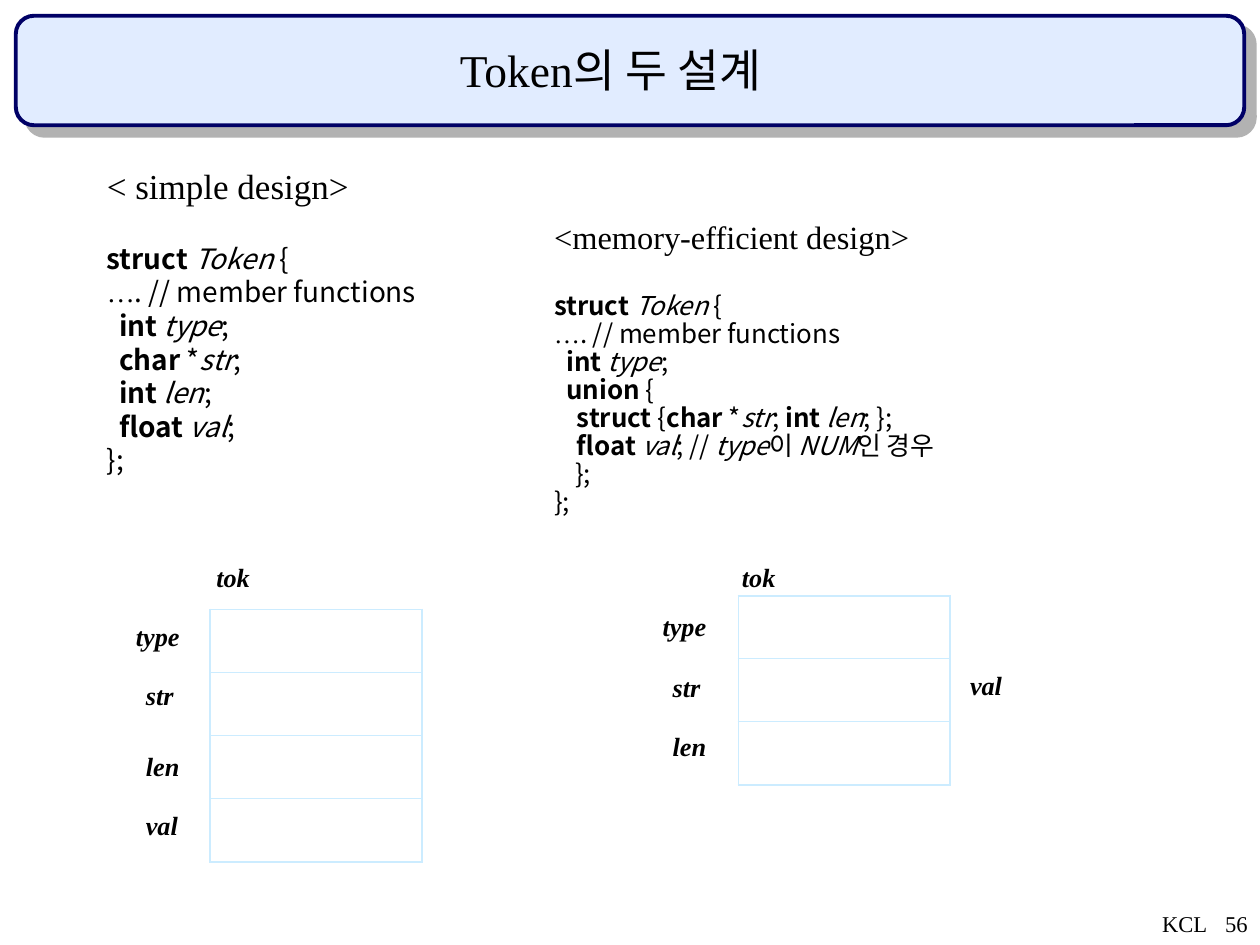
from dataclasses import dataclass
from typing import NamedTuple

from lxml import etree
from pptx import Presentation
from pptx import util as u
from pptx.dml.color import RGBColor
from pptx.enum import shapes, text
from pptx.oxml import ns

Pt = u.Pt
BLACK = RGBColor(0x00, 0x00, 0x00)
NAVY = RGBColor(0x00, 0x00, 0x66)
PALE_BLUE = RGBColor(0xE1, 0xEC, 0xFF)
SHADOW_GREY = RGBColor(0xB2, 0xB2, 0xB2)
GRID_BLUE = RGBColor(0xCC, 0xEC, 0xFF)
SERIF, SANS = "Times New Roman", "Noto Sans CJK KR"
LEFT, CENTER, RIGHT = text.PP_ALIGN.LEFT, text.PP_ALIGN.CENTER, text.PP_ALIGN.RIGHT
TOP, MIDDLE, BOTTOM = text.MSO_ANCHOR.TOP, text.MSO_ANCHOR.MIDDLE, text.MSO_ANCHOR.BOTTOM


class Run(NamedTuple):
    text: str
    bold: bool = False
    italic: bool = False
    font: str = SANS


class Box(NamedTuple):
    x: float
    y: float
    w: float
    h: float


@dataclass
class Line:
    runs: list[Run]
    indent: float = 0


@dataclass
class Listing:
    box: Box
    heading: str
    heading_size: float
    size: float
    pitch: float
    gap: float
    lines: list[Line]


@dataclass
class Grid:
    box: Box
    rows: int


@dataclass
class Label:
    text: str
    x: float
    y: float
    w: float


def bold(t: str) -> Run:
    return Run(t, bold=True)


def ital(t: str) -> Run:
    return Run(t, italic=True)


def add_run(p, run: Run, size: float) -> None:
    r = p.add_run()
    r.text = run.text
    r.font.color.rgb = BLACK
    fmt = {"name": run.font, "size": Pt(size), "bold": run.bold, "italic": run.italic}
    for key, value in fmt.items():
        setattr(r.font, key, value)


def add_box(s, box: Box, anchor, wrap: bool = True):
    tf = s.shapes.add_textbox(*map(Pt, box)).text_frame
    for key, value in {"word_wrap": wrap, "vertical_anchor": anchor}.items():
        setattr(tf, key, value)
    return tf


def add_text(s, box: Box, run: Run, size: float, anchor=TOP, align=LEFT, wrap=True) -> None:
    p = add_box(s, box, anchor, wrap).paragraphs[0]
    p.alignment = align
    add_run(p, run, size)


def add_banner(s, box: Box) -> None:
    sp = s.shapes.add_shape(shapes.MSO_SHAPE.ROUNDED_RECTANGLE, *map(Pt, box))
    sp.shadow.inherit = False
    sp.fill.solid()
    sp.fill.fore_color.rgb = PALE_BLUE
    sp.line.color.rgb = NAVY
    sp.line.width = Pt(2.25)
    effects = sp.element.spPr.find(ns.qn("a:effectLst"))
    shadow = etree.SubElement(effects, ns.qn("a:outerShdw"), dist=str(Pt(8.5)),
                              dir="2700000", algn="ctr", rotWithShape="0")
    etree.SubElement(shadow, ns.qn("a:srgbClr"), val=str(SHADOW_GREY))


def add_listing(s, item: Listing) -> None:
    tf = add_box(s, item.box, BOTTOM)
    p = tf.paragraphs[0]
    p.space_after = Pt(item.gap)
    add_run(p, Run(item.heading, font=SERIF), item.heading_size)
    for line in item.lines:
        p = tf.add_paragraph()
        p.line_spacing = Pt(item.pitch)
        p._p.get_or_add_pPr().set("marL", str(Pt(line.indent)))
        for run in line.runs:
            add_run(p, run, item.size)


def set_border(cell, side: str, width: float) -> None:
    ln = etree.SubElement(cell._tc.get_or_add_tcPr(), ns.qn(f"a:ln{side}"), w=str(Pt(width)))
    fill = etree.SubElement(ln, ns.qn("a:solidFill"))
    etree.SubElement(fill, ns.qn("a:srgbClr"), val=str(GRID_BLUE))


def add_grid(s, grid: Grid) -> None:
    tbl = s.shapes.add_table(grid.rows, 1, *map(Pt, grid.box)).table
    tbl.first_row = tbl.horz_banding = False
    for i in range(grid.rows):
        cell = tbl.cell(i, 0)
        widths = {"L": 1.08, "R": 1.08, "T": 1.08 if i == 0 else 0.45,
                  "B": 1.08 if i == grid.rows - 1 else 0.45}
        for side, width in widths.items():
            set_border(cell, side, width)
        cell.fill.background()


# Code lines that both designs open with
OPENING = [
    Line([bold("struct "), ital("Token"), Run(" {")]),
    Line([Run("…", font=SERIF), Run(". // member functions")]),
    Line([bold("int "), ital("type"), Run(";")], 7),
]
CLOSING = Line([Run("};")])
STR = [bold("char"), Run(" *"), ital("str")]
LEN = [bold("int "), ital("len")]
VAL = [bold("float "), ital("val")]
END = Run(";")

LISTINGS = [
    Listing(Box(54, 94.3, 221, 181.5), "< simple design>", 20, 16, 19.2, 20, [
        *OPENING, Line([*STR, END], 7), Line([*LEN, END], 7), Line([*VAL, END], 7), CLOSING]),
    Listing(Box(309.6, 94.3, 303.8, 204.5), "<memory-efficient design>", 18.5, 14.8, 16, 21, [
        *OPENING,
        Line([bold("union "), Run("{")], 7),
        Line([bold("struct "), Run("{"), *STR, Run("; "), *LEN, Run("; };")], 13),
        Line([*VAL, Run("; // "), ital("type"), Run("이 "), ital("NUM"), Run("인 경우")], 13),
        Line(CLOSING.runs, 12),
        CLOSING]),
]
GRIDS = [Grid(Box(120.2, 348.2, 121, 144.4), 4), Grid(Box(422, 340.4, 121, 108), 3)]
LABELS = [
    Label("tok", 116.6, 315.4, 50.4), Label("type", 70.6, 349.2, 51),
    Label("str", 76.3, 383, 45.4), Label("len", 76.3, 423.4, 39.6),
    Label("val", 76.3, 457.2, 36),
    Label("tok", 416.9, 315.4, 50.4), Label("type", 371.5, 343.4, 51),
    Label("str", 377.3, 378, 45.4), Label("len", 377.3, 411.8, 39.6),
    Label("val", 547.2, 377.3, 37.4),
]


def main() -> None:
    prs = Presentation()
    prs.slide_width, prs.slide_height = Pt(720), Pt(540)
    s = prs.slides.add_slide(prs.slide_layouts[6])

    # Title banner
    add_banner(s, Box(9, 9, 702, 62.6))
    add_text(s, Box(54, 20.2, 589.7, 43.2), Run("Token의 두 설계", font=SERIF), 26, align=CENTER)

    # Code of both designs
    for item in LISTINGS:
        add_listing(s, item)

    # Memory layouts with field labels
    for grid in GRIDS:
        add_grid(s, grid)
    for lb in LABELS:
        add_text(s, Box(lb.x, lb.y, lb.w, 28.8), Run(lb.text, True, True, SERIF), 15,
                 anchor=MIDDLE, wrap=False)

    # Footer
    add_text(s, Box(570.2, 516.2, 149.8, 23.8), Run("KCL\t56", font=SERIF), 12.9, align=RIGHT)

    prs.save("out.pptx")


if __name__ == "__main__":
    main()
